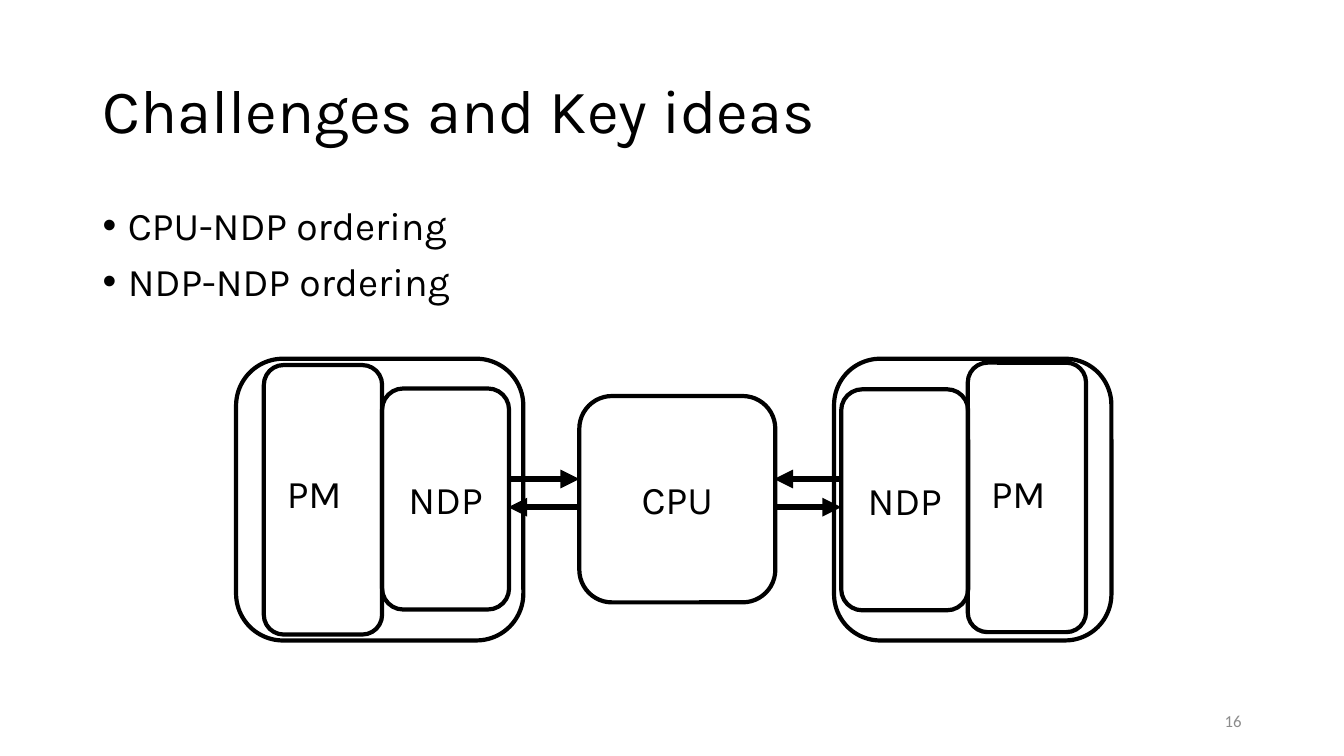
from pptx import Presentation
from pptx.dml.color import RGBColor
from pptx.enum.shapes import MSO_CONNECTOR as Connector, MSO_SHAPE as Shape
from pptx.enum.text import MSO_ANCHOR as Anchor, MSO_AUTO_SIZE as AutoSize, PP_ALIGN as Align
from pptx.oxml.ns import qn
from pptx.util import Cm, Pt
from lxml.etree import SubElement

BLACK = RGBColor(0x00, 0x00, 0x00)
WHITE = RGBColor(0xFF, 0xFF, 0xFF)
GRAY = RGBColor(0x8C, 0x8C, 0x8C)


class SlideBuilder:
    """Holds the style and the current slide; all lengths are in centimetres."""

    face = "Karla"
    text_size = 28
    outline = 3
    arrow_width = 4.5

    def __init__(self, deck):
        self.page = deck.slides.add_slide(deck.slide_layouts[1])

    def style(self, para, size=text_size, face=face, color=BLACK, align=Align.LEFT):
        para.alignment = align
        para.font.size = Pt(size)
        para.font.name = face
        para.font.color.rgb = color

    def place(self, holder, left, top, width, height):
        holder.left, holder.top = Cm(left), Cm(top)
        holder.width, holder.height = Cm(width), Cm(height)
        holder.text_frame.auto_size = AutoSize.NONE

    def title(self, text, *bounds):
        holder = self.page.shapes.title
        self.place(holder, *bounds)
        holder.text_frame.vertical_anchor = Anchor.MIDDLE
        holder.text_frame.text = text
        para = holder.text_frame.paragraphs[0]
        para.line_spacing = 0.9
        self.style(para, size=44)

    def bullets(self, items, *bounds):
        holder = self.page.placeholders[1]
        self.place(holder, *bounds)
        holder.text_frame.text = "\n".join(items)
        for index, para in enumerate(holder.text_frame.paragraphs):
            props = para._p.get_or_add_pPr()
            props.set("marL", str(Cm(0.64)))
            props.set("indent", str(-Cm(0.64)))
            SubElement(props, qn("a:buFont"), typeface="Arial")
            SubElement(props, qn("a:buChar"), char="•")
            para.line_spacing = 0.9
            para.space_before = Pt(10 if index else 0)
            self.style(para)

    def label(self, text, left, top, width, height, anchor=Anchor.TOP, **style):
        box = self.page.shapes.add_textbox(Cm(left), Cm(top), Cm(width), Cm(height))
        box.text_frame.word_wrap = True
        box.text_frame.vertical_anchor = anchor
        box.text_frame.text = text
        self.style(box.text_frame.paragraphs[0], **style)

    def block(self, left, top, width, height, text=None):
        box = self.page.shapes.add_shape(
            Shape.ROUNDED_RECTANGLE, Cm(left), Cm(top), Cm(width), Cm(height))
        box.shadow.inherit = False
        box.line.color.rgb = BLACK
        box.line.width = Pt(self.outline)
        if text is None:
            box.fill.background()
            return
        box.fill.solid()
        box.fill.fore_color.rgb = WHITE
        box.text_frame.vertical_anchor = Anchor.MIDDLE
        box.text_frame.text = text
        self.style(box.text_frame.paragraphs[0], align=Align.CENTER)

    def arrow(self, start, end, height):
        line = self.page.shapes.add_connector(
            Connector.STRAIGHT, Cm(start), Cm(height), Cm(end), Cm(height))
        line.line.color.rgb = BLACK
        line.line.width = Pt(self.arrow_width)
        SubElement(line.line._get_or_add_ln(), qn("a:tailEnd"), type="triangle")
        SubElement(line._element.spPr, qn("a:effectLst"))


def main():
    deck = Presentation()
    deck.slide_width, deck.slide_height = Cm(33.87), Cm(19.05)
    slide = SlideBuilder(deck)

    # Heading, list and page number
    slide.title("Challenges and Key ideas", 2.33, 1.01, 29.21, 3.68)
    slide.bullets(["CPU-NDP ordering", "NDP-NDP ordering"], 2.33, 5.07, 29.21, 12.09)
    slide.label("16", 23.92, 17.66, 7.62, 1.01, anchor=Anchor.MIDDLE,
                size=12, face="Calibri", color=GRAY, align=Align.RIGHT)

    # Processor in the centre
    slide.block(14.6, 9.98, 4.94, 5.2, "CPU")

    # Memory modules: outer left and width, NDP left and top, PM left and top, PM label left
    modules = [
        (5.95, 7.24, 9.63, 9.79, 6.65, 9.2, 6.98),
        (21.02, 6.99, 21.2, 9.81, 24.39, 9.14, 24.72),
    ]
    for left, width, ndp_left, ndp_top, pm_left, pm_top, label_left in modules:
        slide.block(left, 9.04, width, 7.1)
        slide.block(ndp_left, ndp_top, 3.2, 5.57, "NDP")
        slide.label("PM", label_left, 11.7, 2.3, 2.14)
        slide.block(pm_left, pm_top, 2.98, 6.79)

    # Traffic between the processor and each NDP: upper inwards, lower outwards
    for ndp_edge, cpu_edge in [(12.81, 14.6), (21.2, 19.51)]:
        slide.arrow(ndp_edge, cpu_edge, 12.07)
        slide.arrow(cpu_edge, ndp_edge, 12.78)

    deck.save("out.pptx")


if __name__ == "__main__":
    main()
